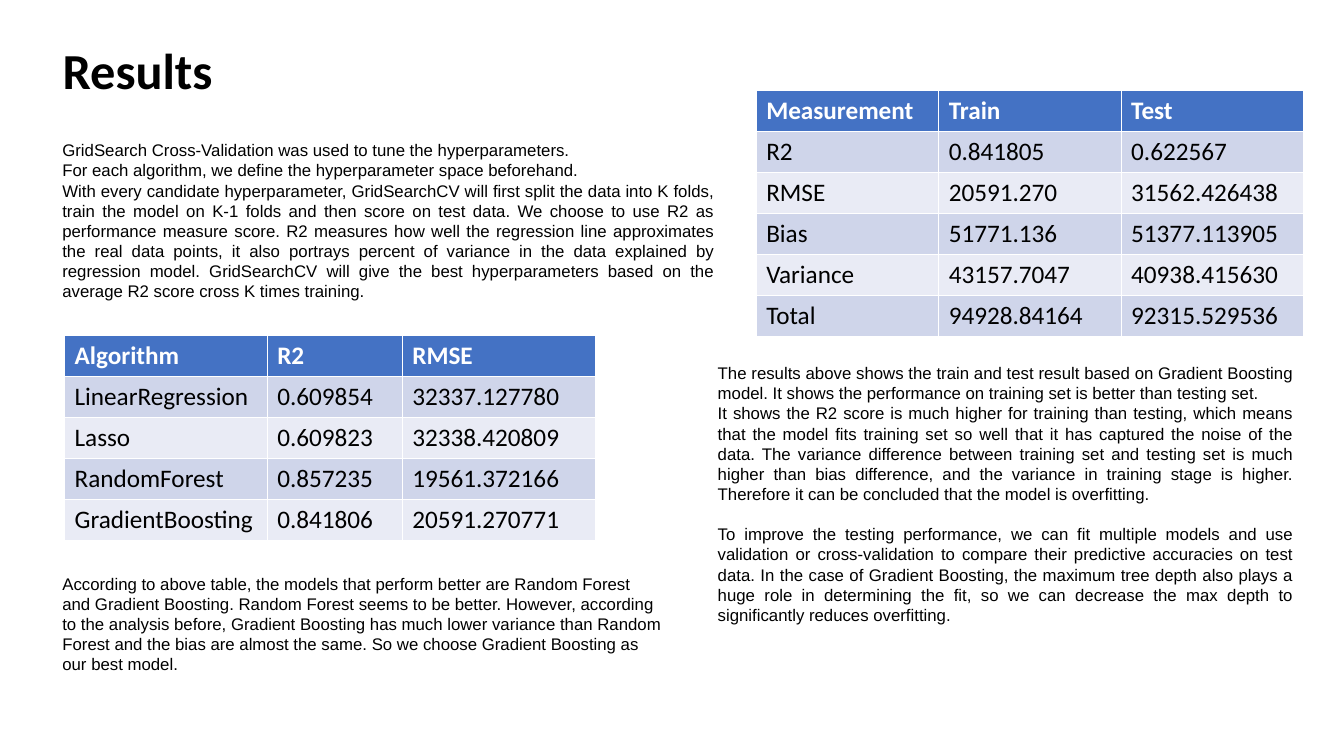
import pptx
import pptx.dml.color
import pptx.enum.text
import pptx.util

Inches = pptx.util.Inches
JUSTIFY = pptx.enum.text.PP_ALIGN.JUSTIFY
LEFT = pptx.enum.text.PP_ALIGN.LEFT
MIDDLE = pptx.enum.text.MSO_ANCHOR.MIDDLE
ROW_HEIGHT = 0.406

TUNING = [
    "GridSearch Cross-Validation was used to tune the hyperparameters.",
    "For each algorithm, we define the hyperparameter space beforehand.",
    "With every candidate hyperparameter, GridSearchCV will first split the data into K folds, "
    "train the model on K-1 folds and then score on test data. We choose to use R2 as "
    "performance measure score. R2 measures how well the regression line approximates the real "
    "data points, it also portrays percent of variance in the data explained by regression model. "
    "GridSearchCV will give the best hyperparameters based on the average R2 score cross K times "
    "training.",
]
MODEL_CHOICE = [
    "According to above table, the models that perform better are Random Forest and Gradient "
    "Boosting. Random Forest seems to be better. However, according to the analysis before, "
    "Gradient Boosting has much lower variance than Random Forest and the bias are almost the "
    "same. So we choose Gradient Boosting as our best model.",
]
OVERFITTING = [
    "The results above shows the train and test result based on Gradient Boosting model. It shows "
    "the performance on training set is better than testing set.",
    "It shows the R2 score is much higher for training than testing, which means that the model "
    "fits training set so well that it has captured the noise of the data. The variance "
    "difference between training set and testing set is much higher than bias difference, and "
    "the variance in training stage is higher. Therefore it can be concluded that the model is "
    "overfitting.",
    "To improve the testing performance, we can fit multiple models and use validation or "
    "cross-validation to compare their predictive accuracies on test data. In the case of "
    "Gradient Boosting, the maximum tree depth also plays a huge role in determining the fit, so "
    "we can decrease the max depth to significantly reduces overfitting.",
]
ALGORITHM_SCORES = [
    ["Algorithm", "R2", "RMSE"],
    ["LinearRegression", "0.609854", "32337.127780"],
    ["Lasso", "0.609823", "32338.420809"],
    ["RandomForest", "0.857235", "19561.372166"],
    ["GradientBoosting", "0.841806", "20591.270771"],
]
TRAIN_TEST_SCORES = [
    ["Measurement", "Train", "Test"],
    ["R2", "0.841805", "0.622567"],
    ["RMSE", "20591.270", "31562.426438"],
    ["Bias", "51771.136", "51377.113905"],
    ["Variance", "43157.7047", "40938.415630"],
    ["Total", "94928.84164", "92315.529536"],
]


def color(hex_value):
    """Return the colour for a hex string."""
    return pptx.dml.color.RGBColor.from_string(hex_value)


def write(paragraph, text, font="Calibri", size=18, fill="000000", bold=False,
          align=LEFT, spacing=None, before=0):
    """Write text into a paragraph with its format."""
    paragraph.alignment = align
    paragraph.line_spacing = spacing
    paragraph.space_before = pptx.util.Pt(before)
    run = paragraph.add_run()
    run.text = text
    run.font.name = font
    run.font.size = pptx.util.Pt(size)
    run.font.bold = bold
    run.font.color.rgb = color(fill)


def add_title(slide, text):
    """Place and fill the title placeholder."""
    title = slide.shapes.title
    title.left, title.top = Inches(0.52), Inches(0.26)
    title.width, title.height = Inches(5.16), Inches(0.94)
    title.text_frame.vertical_anchor = MIDDLE
    write(title.text_frame.paragraphs[0], text, size=36, bold=True, spacing=0.9)


def add_body(slide, left, top, width, height, texts, align=JUSTIFY, gap_before_last=0):
    """Add a box of body paragraphs, with an optional gap before the last."""
    box = slide.shapes.add_textbox(Inches(left), Inches(top), Inches(width), Inches(height))
    frame = box.text_frame
    frame.word_wrap = True
    for index, text in enumerate(texts):
        paragraph = frame.add_paragraph() if index else frame.paragraphs[0]
        before = gap_before_last if index == len(texts) - 1 else 0
        write(paragraph, text, font="Arial", size=12, align=align, before=before)


def add_scores(slide, left, top, widths, rows):
    """Add a table of scores with a header and banded rows."""
    table = slide.shapes.add_table(
        len(rows), len(widths), Inches(left), Inches(top),
        Inches(sum(widths)), Inches(ROW_HEIGHT * len(rows))).table
    for column, width in zip(table.columns, widths):
        column.width = Inches(width)
    for row_index, values in enumerate(rows):
        header = row_index == 0
        band = "4472C4" if header else ("E9EBF5", "CFD5EA")[row_index % 2]
        for column_index, value in enumerate(values):
            cell = table.cell(row_index, column_index)
            cell.vertical_anchor = MIDDLE
            cell.fill.solid()
            cell.fill.fore_color.rgb = color(band)
            write(cell.text_frame.paragraphs[0], value,
                  fill="FFFFFF" if header else "000000", bold=header)


def main():
    """Build the results slide."""
    deck = pptx.Presentation()
    deck.slide_width, deck.slide_height = Inches(13.33), Inches(7.5)
    slide = deck.slides.add_slide(deck.slide_layouts[5])
    add_title(slide, "Results")
    add_body(slide, 0.52, 1.34, 6.67, 1.72, TUNING)
    add_scores(slide, 0.64, 3.33, [2.01, 1.34, 1.92], ALGORITHM_SCORES)
    add_body(slide, 0.52, 5.64, 6.15, 1.11, MODEL_CHOICE, align=LEFT)
    add_scores(slide, 7.5, 0.9, [1.81] * 3, TRAIN_TEST_SCORES)
    add_body(slide, 7.02, 3.55, 5.91, 2.73, OVERFITTING, gap_before_last=14.4)
    deck.save("out.pptx")


if __name__ == "__main__":
    main()
